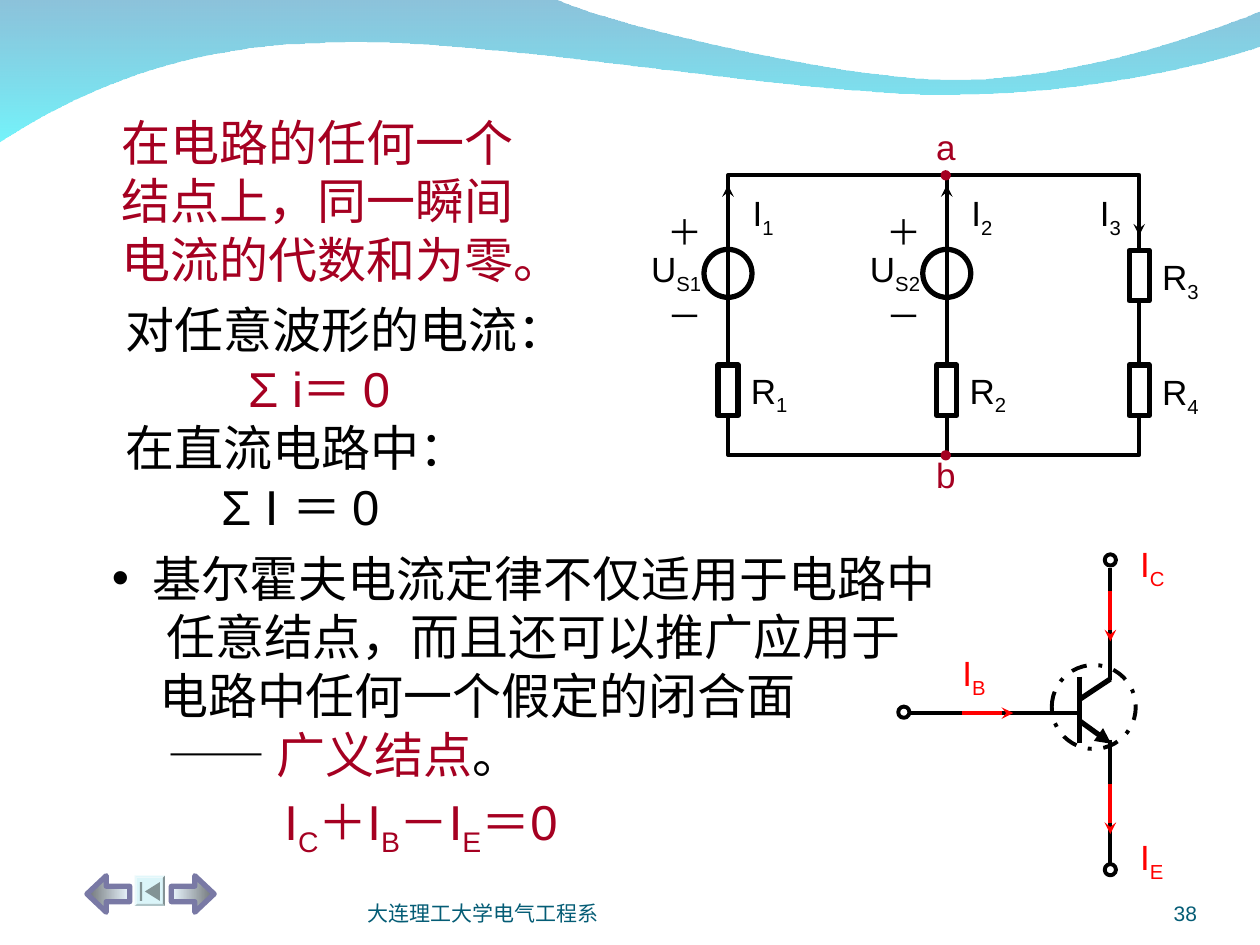
import pptx
import pptx.dml.color
import pptx.enum.dml
import pptx.enum.shapes
import pptx.enum.text
import pptx.oxml
import pptx.oxml.ns
import pptx.util

Pt = pptx.util.Pt
RGB = pptx.dml.color.RGBColor.from_string
KIND = pptx.enum.shapes.MSO_SHAPE
ALIGN = pptx.enum.text.PP_ALIGN
ANCHOR = pptx.enum.text.MSO_ANCHOR
qn = pptx.oxml.ns.qn
NS = pptx.oxml.ns.nsdecls("a")
HUE = {"ink": "000000", "white": "FFFFFF", "wine": "A50021", "red": "FF0000",
       "foot": "045C75", "sea": "0079AF", "aqua": "00EBF8", "mauve": "7979A5",
       "pale": "EBF7FF", "slate": "6D7276", "ice": "DBF5F9", "icon": "839395"}

deck = pptx.Presentation()
deck.slide_width, deck.slide_height = Pt(720), Pt(540)
slide = deck.slides.add_slide(deck.slide_layouts[6])
shapes = slide.shapes


def draw(kind, x, y, w, h, fill=None, edge="ink", width=3):
    item = shapes.add_shape(kind, Pt(x), Pt(y), Pt(w), Pt(h))
    item.shadow.inherit = False
    if fill:
        item.fill.solid()
        item.fill.fore_color.rgb = RGB(HUE[fill])
    else:
        item.fill.background()
    if edge:
        item.line.color.rgb = RGB(HUE[edge])
        item.line.width = Pt(width)
    else:
        item.line.fill.background()
    return item


def link(x1, y1, x2, y2, width=2.25, color="ink", tail=None):
    wire = shapes.add_connector(pptx.enum.shapes.MSO_CONNECTOR.STRAIGHT,
                                Pt(x1), Pt(y1), Pt(x2), Pt(y2))
    wire.line.color.rgb = RGB(HUE[color])
    wire.line.width = Pt(width)
    props = wire.element.spPr
    if tail:
        end = pptx.oxml.parse_xml(f'<a:tailEnd {NS} type="{tail}"/>')
        props.find(qn("a:ln")).append(end)
    props.append(pptx.oxml.parse_xml(f"<a:effectLst {NS}/>"))


# Wave across the top, its curves sampled from cubic arcs
lower = [(720.7, 26), (707.8, 31.7), (626.4, 54.7), (537, 54), (447.8, 54),
         (275, 20.2), (185.8, 24.5), (92.9, 25.9), (33.1, 59.8), (-0.7, 81.4)]
upper = [(316.8, -0.7), (342.7, 12.2), (478, 45.4), (545.8, 45.4),
         (614.2, 45.4), (689.8, 18.7), (720, 6.5)]
edge = [(0, 0), upper[0]]
for curve in (upper, lower):
    edge.append(curve[0])
    for first in range(0, len(curve) - 1, 3):
        arc = curve[first:first + 4]
        for step in range(1, 25):
            t = step / 24
            mix = ((1 - t) ** 3, 3 * t * (1 - t) ** 2, 3 * t * t * (1 - t), t ** 3)
            edge.append(tuple(sum(m * p[axis] for m, p in zip(mix, arc))
                              for axis in (0, 1)))
path = [(Pt(x), Pt(y)) for x, y in edge]
pen = shapes.build_freeform(*path[0], scale=1.0)
pen.add_line_segments(path[1:], close=True)
wave = pen.convert_to_shape()
wave.shadow.inherit = False
wave.line.fill.background()
wave.fill.gradient()
wave.fill.gradient_angle = 270
for stop, name in zip(wave.fill.gradient_stops, ("sea", "aqua")):
    stop.color.rgb = RGB(HUE[name])
for tint, alpha in zip(wave.element.spPr.iter(qn("a:srgbClr")), (45000, 55000)):
    tint.append(pptx.oxml.parse_xml(f'<a:alpha {NS} val="{alpha}"/>'))

# Circuit with three branches between a and b
cols = (416, 541, 651)
top, base = 100, 260
for x in cols[:2]:
    draw(KIND.OVAL, x - 13.7, 142.5, 27.4, 27.4, "white")
draw(KIND.RECTANGLE, cols[0], top, cols[2] - cols[0], base - top, width=2.25)
link(cols[1], top, cols[1], base)
for x, y in [(x, 223) for x in cols] + [(cols[2], 157.5)]:
    draw(KIND.RECTANGLE, x - 5.75, y - 14.4, 11.5, 28.8, "white")
for x in cols[:2]:
    link(x, 134.6, x, 105.8, tail="stealth")
link(cols[2], 105.8, cols[2], 134.6, tail="stealth")
for y in (top, base):
    draw(KIND.OVAL, cols[1] - 2.4, y - 1.6, 3.6, 3.6, "wine", "wine", 2.25)

# Navigation buttons
for kind, x, names in ((KIND.LEFT_ARROW, 49.7, ("slate", "pale")),
                       (KIND.RIGHT_ARROW, 97.9, ("pale", "slate"))):
    arrow = draw(kind, x, 500.4, 24.5, 20.9, edge="mauve")
    arrow.adjustments[0], arrow.adjustments[1] = 0.42, 0.53
    arrow.fill.gradient()
    arrow.fill.gradient_angle = 0
    for stop, name in zip(arrow.fill.gradient_stops, names):
        stop.color.rgb = RGB(HUE[name])
plate = draw(KIND.BEVEL, 77, 500.4, 17.3, 17.3, "ice", None)
plate.adjustments[0] = 0.07
draw(KIND.RECTANGLE, 79.9, 504, 1.4, 10.8, "icon", None)
draw(KIND.ISOSCELES_TRIANGLE, 81.7, 505.1, 10.8, 8.6, "icon", None).rotation = 270

# Transistor
case = draw(KIND.OVAL, 601, 380, 48, 48, width=2.25)
case.line.dash_style = pptx.enum.dml.MSO_LINE.DASH_DOT
stem, bar, mid = 634.5, 617, 407.5
link(stem, 422.6, stem, 493)
link(stem, 388.8, stem, 324.7)
link(bar, 386.6, bar, 424.8, 3)
link(bar, 399.6, stem, 388, 3)
link(bar, 412, 635, 425, 3, tail="triangle")
link(518.4, mid, 618.5, mid)
for x, y in ((stem, 497), (stem, 320), (516.5, 407)):
    draw(KIND.OVAL, x - 3.2, y - 3.2, 6.4, 6.4, "white", width=2.25)
for ends in ((stem, 337.7, stem, 366.5), (stem, 448, stem, 476.6),
             (550, mid, 579, mid)):
    link(*ends, color="red", tail="stealth")

# Each text: x, y, w, h, size, lines; a line: indent, space before, runs;
# a run: words, colour, subscript
texts = [
    (62.6, 60.5, 309, 108, 28,
     [(0, 0, [(words, "wine", False)]) for words in
      ("在电路的任何一个", "结点上，同一瞬间", "电流的代数和为零。")]),
    (64.8, 167.8, 369, 142, 28, [
        (0, 0, [("对任意波形的电流：", "ink", False)]),
        (70, 0, [("Σ i＝ 0", "wine", False)]),
        (0, 0, [("在直流电路中：", "ink", False)]),
        (54.5, 0, [("Σ I ＝ 0", "ink", False)])]),
    (56.9, 309.6, 598, 142, 28, [
        (23, 0, [("基尔霍夫电流定律不仅适用于电路中", "ink", False)]),
        (31, 0, [("任意结点，而且还可以推广应用于", "ink", False)]),
        (27, 0, [("电路中任何一个假定的闭合面", "ink", False)]),
        (32, 0, [("—— ", "ink", False), ("广义结点", "wine", False),
                 ("。", "ink", False)])]),
    (155.5, 448.6, 238, 45, 28, [
        (0, 0, [(words, "wine", words in "CBE") for words in
                ("I", "C", "＋I", "B", "－I", "E", "＝0")])]),
    (527.8, 68.4, 25, 32, 20, [(0, 0, [("a", "wine", False)])]),
    (527.8, 255.6, 25, 32, 20, [(0, 0, [("b", "wine", False)])]),
]
marks = [("I", "3", cols[2] - 29.6, 106, "ink"),
         ("R", "3", cols[2] + 6, 142.5, "ink"),
         ("R", "4", cols[2] + 6, 208, "ink"),
         ("I", "C", 644.4, 306.7, "red"),
         ("I", "E", 644.4, 473.8, "red"),
         ("I", "B", 542.9, 369, "red")]
for num, x in zip("12", cols):
    marks += [("R", num, x + 6, 207.4, "ink"), ("I", num, x + 7, 106, "ink"),
              ("U", "S" + num, x - 51, 138, "ink")]
    texts.append((x - 41.5, 116.6, 44, 79, 20,
                  [(0, 0, [("＋", "ink", False)]), (0, 24, [("－", "ink", False)])]))
for word, sub, x, y, color in marks:
    width = {"I": 30, "R": 41, "U": 48}[word]
    texts.append((x, y, width, 34.6, 20,
                  [(0, 0, [(word, color, False), (sub, color, True)])]))
feet = [(210.2, 500.4, 264, 28.8, 12, [(0, 0, [("大连理工大学电气工程系", "foot", False)])]),
        (624.2, 500.4, 59.8, 28.8, 12, [(0, 0, [("38", "foot", False)])])]

for x, y, w, h, size, lines in texts + feet:
    box = shapes.add_textbox(Pt(x), Pt(y), Pt(w), Pt(h))
    frame = box.text_frame
    frame.word_wrap = True
    small = size == 12
    frame.margin_left = Pt(0 if small else 7.2)
    frame.margin_top = frame.margin_bottom = Pt(0 if small else 3.6)
    frame.margin_right = Pt(0)
    if small:
        frame.vertical_anchor = ANCHOR.BOTTOM
    for row, (indent, space, runs) in enumerate(lines):
        para = frame.add_paragraph() if row else frame.paragraphs[0]
        para.alignment = ALIGN.RIGHT if runs[0][0] == "38" else ALIGN.LEFT
        if space:
            para.space_before = Pt(space)
        if indent:
            props = para._p.get_or_add_pPr()
            props.set("marL", str(Pt(indent)))
            props.set("indent", "0")
            if runs[0][0].startswith("基尔"):
                props.set("indent", str(-Pt(indent)))
                props.append(pptx.oxml.parse_xml(f'<a:buFont {NS} typeface="Arial"/>'))
                props.append(pptx.oxml.parse_xml(f'<a:buChar {NS} char="•"/>'))
        for words, color, sub in runs:
            run = para.add_run()
            run.text = words
            run.font.name = "Arial"
            run.font.size = Pt(size)
            run.font.color.rgb = RGB(HUE[color])
            if sub:
                run._r.get_or_add_rPr().set("baseline", "-25000")

deck.save("out.pptx")
